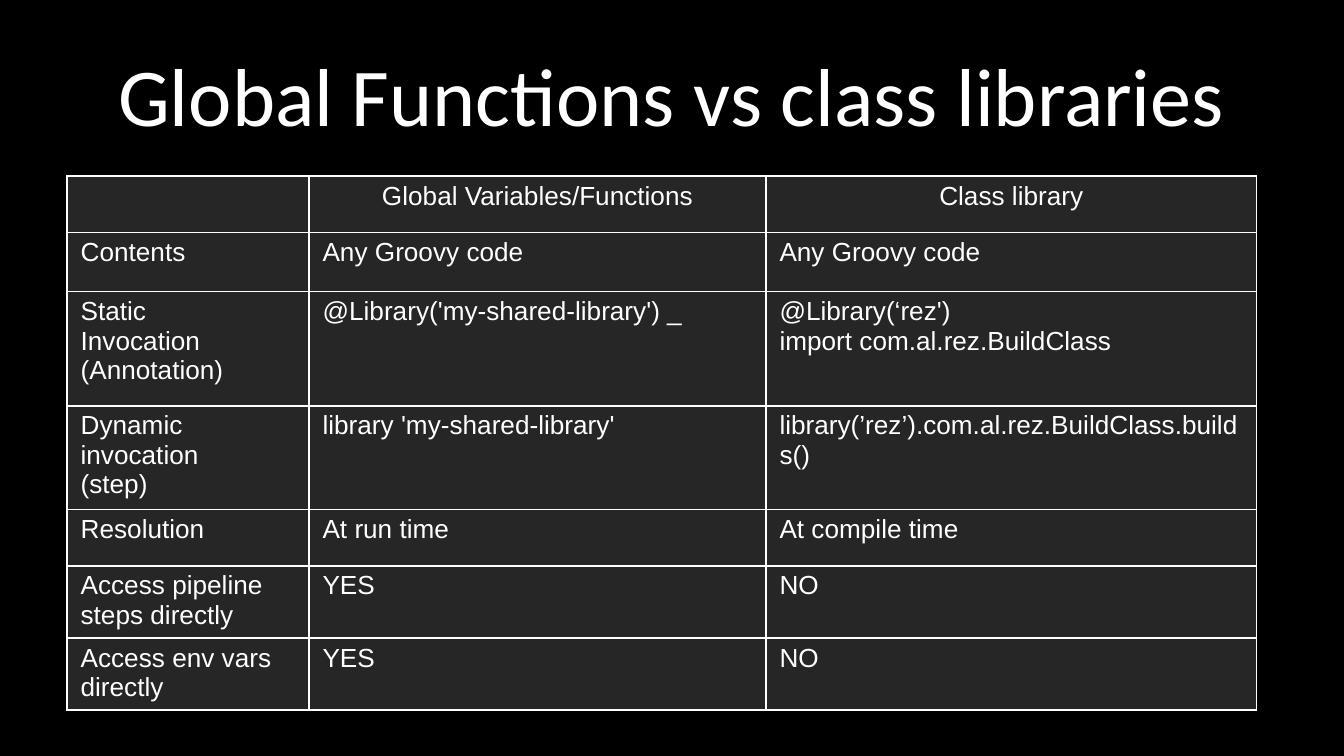
from dataclasses import dataclass

from lxml.etree import SubElement
from pptx import Presentation
from pptx.dml.color import RGBColor
from pptx.enum.text import MSO_ANCHOR as Anchor, PP_ALIGN as Align
from pptx.oxml.ns import qn
from pptx.slide import Slide
from pptx.table import _Cell as Cell
from pptx.text.text import TextFrame
from pptx.util import Inches, Pt

WHITE = "FFFFFF"
BLACK = "000000"
CELL_GRAY = "262626"
SLIDE_WIDTH = 10
COLUMN_WIDTHS = (1.8, 3.4, 3.65)


@dataclass(frozen=True)
class TextStyle:
    font: str
    size: int
    align: Align


@dataclass(frozen=True)
class ComparisonRow:
    height: float
    topic: str
    global_functions: str
    class_library: str
    align: Align = Align.LEFT


TITLE_STYLE = TextStyle("Calibri", 44, Align.CENTER)

ROWS = (
    ComparisonRow(0.42, "", "Global Variables/Functions", "Class library", Align.CENTER),
    ComparisonRow(0.44, "Contents", "Any Groovy code", "Any Groovy code"),
    ComparisonRow(
        0.85,
        "Static\nInvocation\n(Annotation)",
        "@Library('my-shared-library') _",
        "@Library(‘rez')\nimport com.al.rez.BuildClass",
    ),
    ComparisonRow(
        0.76,
        "Dynamic invocation\n(step)",
        "library 'my-shared-library'",
        "library(’rez’).com.al.rez.BuildClass.builds()",
    ),
    ComparisonRow(0.42, "Resolution", "At run time", "At compile time"),
    ComparisonRow(0.53, "Access pipeline steps directly", "YES", "NO"),
    ComparisonRow(0.53, "Access env vars directly", "YES", "NO"),
)


def color(value: str) -> RGBColor:
    return RGBColor.from_string(value)


def write_text(frame: TextFrame, text: str, style: TextStyle) -> None:
    frame.word_wrap = True
    for index, line in enumerate(text.split("\n")):
        paragraph = frame.add_paragraph() if index else frame.paragraphs[0]
        paragraph.alignment = style.align
        if line:
            run = paragraph.add_run()
            run.text = line
            run.font.name = style.font
            run.font.size = Pt(style.size)
            run.font.color.rgb = color(WHITE)


def add_title(slide: Slide, text: str) -> None:
    shape = slide.shapes.add_textbox(Inches(0.5), Inches(0.23), Inches(9), Inches(0.94))
    shape.text_frame.vertical_anchor = Anchor.MIDDLE
    write_text(shape.text_frame, text, TITLE_STYLE)


def draw_borders(cell: Cell) -> None:
    properties = cell._tc.get_or_add_tcPr()
    for edge in ("a:lnL", "a:lnR", "a:lnT", "a:lnB"):
        line = SubElement(properties, qn(edge), w=str(Pt(1)))
        fill = SubElement(line, qn("a:solidFill"))
        SubElement(fill, qn("a:srgbClr"), val=WHITE)


def fill_cell(cell: Cell, text: str, style: TextStyle) -> None:
    draw_borders(cell)
    cell.fill.solid()
    cell.fill.fore_color.rgb = color(CELL_GRAY)
    cell.margin_left = cell.margin_right = Inches(0.1)
    cell.margin_top = Inches(0.04)
    cell.margin_bottom = Inches(0.03)
    write_text(cell.text_frame, text, style)


def add_comparison(slide: Slide, rows: tuple[ComparisonRow, ...]) -> None:
    width = Inches(sum(COLUMN_WIDTHS))
    height = Inches(sum(row.height for row in rows))
    table = slide.shapes.add_table(
        len(rows), len(COLUMN_WIDTHS), Inches(0.5), Inches(1.31), width, height
    ).table
    for column, column_width in zip(table.columns, COLUMN_WIDTHS):
        column.width = Inches(column_width)
    for table_row, row in zip(table.rows, rows):
        table_row.height = Inches(row.height)
        style = TextStyle("Arial", 14, row.align)
        texts = (row.topic, row.global_functions, row.class_library)
        for cell, text in zip(table_row.cells, texts):
            fill_cell(cell, text, style)


def main() -> None:
    presentation = Presentation()
    presentation.slide_width = Inches(SLIDE_WIDTH)
    presentation.slide_height = Inches(SLIDE_WIDTH * 9 / 16)
    slide = presentation.slides.add_slide(presentation.slide_layouts[6])
    slide.background.fill.solid()
    slide.background.fill.fore_color.rgb = color(BLACK)
    add_title(slide, "Global Functions vs class libraries")
    add_comparison(slide, ROWS)
    presentation.save("out.pptx")


if __name__ == "__main__":
    main()
